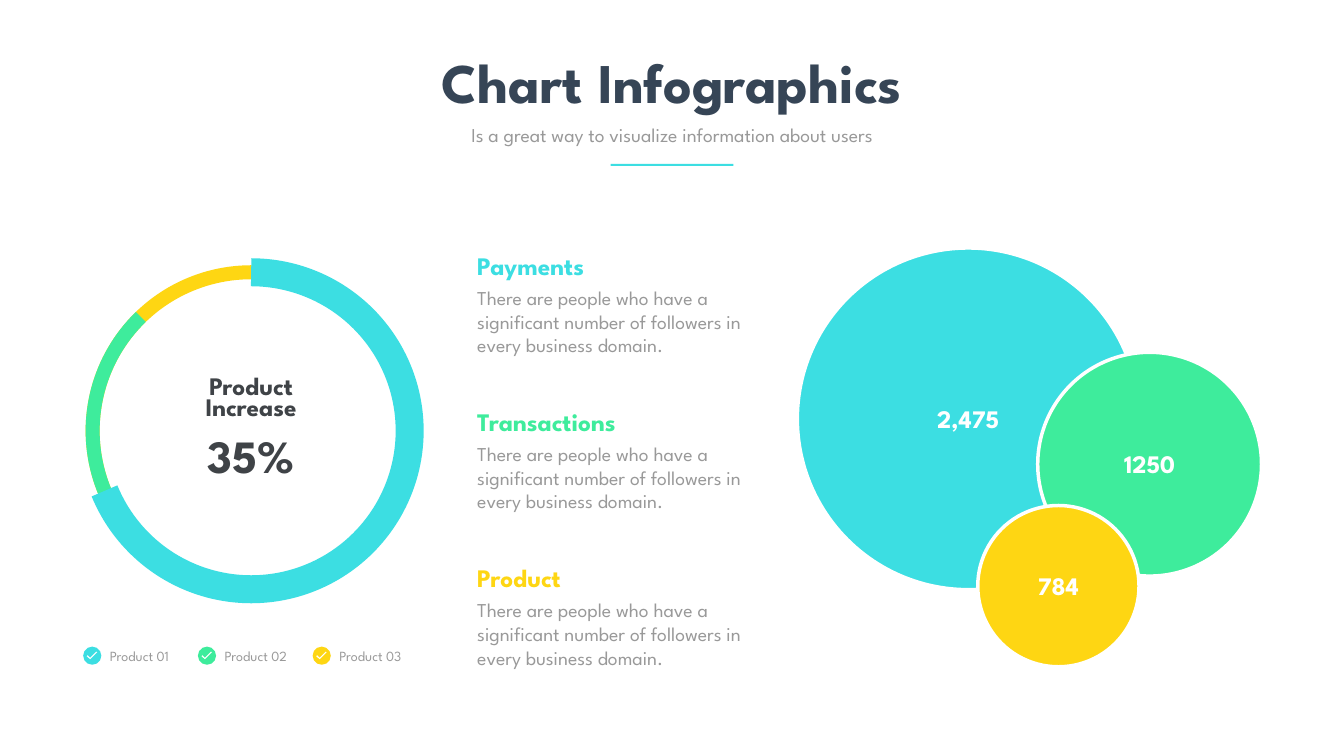
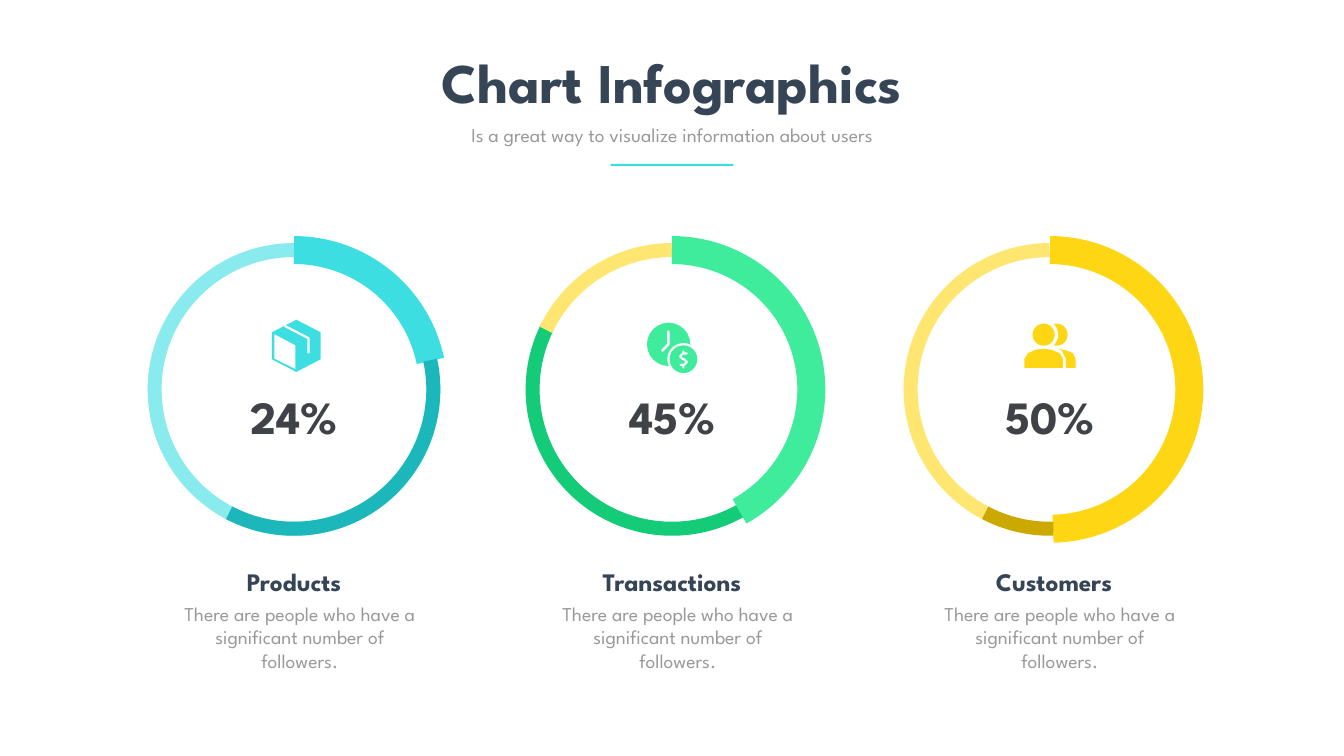
"""Build two chart infographic slides: a product overview and three ring gauges."""
from dataclasses import dataclass
from typing import Any, Optional

from pptx import Presentation
from pptx.dml.color import RGBColor
from pptx.enum.shapes import MSO_SHAPE
from pptx.enum.text import MSO_ANCHOR, MSO_AUTO_SIZE, PP_ALIGN
from pptx.util import Emu, Inches, Pt

WIDTH, HEIGHT = Inches(26.67), Inches(15)
COLUMNS, ROWS = 80, 45
MIDDLE = COLUMNS / 2
FONT = "League Spartan"

WHITE = RGBColor(0xFF, 0xFF, 0xFF)
NAVY = RGBColor(0x36, 0x45, 0x56)
GRAY = RGBColor(0x99, 0x99, 0x99)
CHARCOAL = RGBColor(0x3F, 0x43, 0x47)
CYAN = RGBColor(0x3C, 0xDE, 0xE2)
LIGHT_CYAN = RGBColor(0x8A, 0xEB, 0xEE)
DARK_CYAN = RGBColor(0x1C, 0xB7, 0xBB)
GREEN = RGBColor(0x3E, 0xEC, 0x9C)
DARK_GREEN = RGBColor(0x14, 0xCB, 0x77)
YELLOW = RGBColor(0xFE, 0xD6, 0x13)
LIGHT_YELLOW = RGBColor(0xFE, 0xE6, 0x71)
DARK_YELLOW = RGBColor(0xCC, 0xA9, 0x01)

THIN, THICK = 20, 40
Points = tuple[tuple[float, float], ...]


@dataclass(frozen=True)
class Area:
    """Rectangle measured in grid columns and rows."""
    left: float
    top: float
    width: float
    height: float

    def emu(self) -> tuple[Emu, Emu, Emu, Emu]:
        return (across(self.left), down(self.top), across(self.width), down(self.height))


@dataclass(frozen=True)
class Style:
    """Look of one kind of text."""
    size: float
    color: RGBColor
    bold: bool = False
    align: PP_ALIGN = PP_ALIGN.CENTER
    spacing: Optional[float] = None
    inset: Optional[float] = None


@dataclass(frozen=True)
class Segment:
    """Part of a ring, clockwise between two angles in degrees."""
    start: float
    end: float
    color: RGBColor
    weight: float = THIN


@dataclass(frozen=True)
class Bubble:
    """Circle with a value in its middle."""
    x: float
    y: float
    size: float
    color: RGBColor
    value: str


@dataclass(frozen=True)
class Dot:
    """Filled circle inside an icon."""
    x: float
    y: float
    size: float
    color: RGBColor


@dataclass(frozen=True)
class Outline:
    """Filled polygon, or an open stroke when a weight is given."""
    points: Points
    color: RGBColor
    weight: float = 0


@dataclass(frozen=True)
class Gauge:
    """Ring with an icon, a share and a caption."""
    name: str
    share: str
    segments: tuple[Segment, ...]
    icon: tuple[Any, ...]
    shift: float = 0


TITLE = Style(80, NAVY, True)
SUBTITLE = Style(28, GRAY)
BODY = Style(28, GRAY, align=PP_ALIGN.LEFT)
CAPTION = Style(36, NAVY, True)
BUBBLE_VALUE = Style(36, WHITE, True)
LEGEND = Style(20, GRAY, align=PP_ALIGN.LEFT)
RING_NAME = Style(36, CHARCOAL, True, spacing=0.7, inset=0.06)
RING_VALUE = Style(66, CHARCOAL, True, inset=0.06)

TOPICS = (("Payments", CYAN), ("Transactions", GREEN), ("Product", YELLOW))
TOPIC_TEXT = "There are people who have a significant number of followers in every business domain."
GAUGE_TEXT = "There are people who have a significant number of followers."
TICK: Points = ((-0.12, 0.12), (-0.27, -0.03), (-0.33, 0.03), (-0.12, 0.21), (0.3, -0.21), (0.24, -0.24))

PRODUCT_RING = (
    Segment(270.2, 270.1, YELLOW),
    Segment(153.1, 225.9, GREEN),
    Segment(270, 157.7, CYAN, THICK),
)
BUBBLES = (
    Bubble(57.63, 24.93, 20.34, CYAN, "2,475"),
    Bubble(68.43, 27.63, 13.32, GREEN, "1250"),
    Bubble(63, 34.89, 9.6, YELLOW, "784"),
)

PARCEL = (
    Outline(((0.14, -4.15), (1.58, -3.4), (1.58, -1.79), (0.14, -1.04), (-1.31, -1.79), (-1.31, -3.4)), CYAN),
    Outline(((-1.16, -3.28), (0.08, -2.62), (0.08, -1.22), (-1.16, -1.84)), WHITE),
    Outline(((-0.55, -3.78), (0.86, -3.05), (0.86, -2.15)), WHITE, 3.2),
)
CLOCK = (
    Dot(-0.2, -2.68, 2.58, GREEN),
    Outline(((-0.21, -3.5), (-0.21, -2.69), (-0.6, -2.28)), WHITE, 3.5),
    Dot(0.68, -1.8, 1.92, WHITE),
    Dot(0.68, -1.8, 1.65, GREEN),
    Outline(((0.68, -2.31), (0.68, -2.14), (0.89, -2.14), (0.65, -2.14), (0.48, -1.96), (0.65, -1.8),
             (0.71, -1.8), (0.89, -1.64), (0.71, -1.46), (0.68, -1.46), (0.68, -1.3), (0.68, -1.46),
             (0.47, -1.46)), WHITE, 3),
)
PEOPLE = (
    Dot(0.39, -3.26, 1.32, YELLOW),
    Dot(-0.38, -3.26, 1.74, WHITE),
    Dot(-0.38, -3.26, 1.32, YELLOW),
    Outline(((0.5, -2.42), (0.95, -2.33), (1.37, -2.15), (1.52, -1.82), (1.52, -1.28), (0.95, -1.28),
             (0.95, -1.82), (0.71, -2.3)), YELLOW),
    Outline(((-1.52, -1.28), (-1.52, -1.82), (-1.32, -2.15), (-0.86, -2.36), (-0.38, -2.42),
             (0.1, -2.36), (0.59, -2.15), (0.77, -1.82), (0.77, -1.28)), YELLOW),
)
GAUGES = (
    Gauge("Products", "24%", (Segment(270.2, 270.1, LIGHT_CYAN), Segment(270, 348.2, CYAN, THICK),
                              Segment(347.9, 117.7, DARK_CYAN)), PARCEL),
    Gauge("Transactions", "45%", (Segment(60.3, 207, DARK_GREEN), Segment(205.3, 270.3, LIGHT_YELLOW),
                                  Segment(270, 61, GREEN, THICK)), CLOCK),
    Gauge("Customers", "50%", (Segment(117.6, 269.8, LIGHT_YELLOW), Segment(270, 88.7, YELLOW, THICK),
                               Segment(88.6, 117.7, DARK_YELLOW)), PEOPLE, 0.24),
)


def across(columns: float) -> Emu:
    """Turn grid columns into a length."""
    return Emu(round(WIDTH * columns / COLUMNS))


def down(rows: float) -> Emu:
    """Turn grid rows into a length."""
    return Emu(round(HEIGHT * rows / ROWS))


def centred(x: float, top: float, width: float, height: float) -> Area:
    """Give an area whose middle column is x."""
    return Area(x - width / 2, top, width, height)


def square(x: float, y: float, size: float) -> Area:
    """Give a square around a point."""
    return centred(x, y - size / 2, size, size)


def apply(target: Any, values: dict[str, Any]) -> None:
    """Set each named attribute on the target."""
    for name, value in values.items():
        setattr(target, name, value)


def write(box: Any, text: str, style: Style) -> None:
    """Put one styled paragraph into a box."""
    frame = box.text_frame
    anchor = MSO_ANCHOR.TOP if style.inset is None else MSO_ANCHOR.MIDDLE
    apply(frame, {"word_wrap": True, "auto_size": MSO_AUTO_SIZE.NONE, "vertical_anchor": anchor})
    if style.inset is not None:
        sides = ("margin_left", "margin_top", "margin_right", "margin_bottom")
        apply(frame, dict.fromkeys(sides, Inches(style.inset)))
    para = frame.paragraphs[0]
    apply(para, {"alignment": style.align, "line_spacing": style.spacing})
    span = para.add_run()
    span.text = text
    apply(span.font, {"name": FONT, "size": Pt(style.size), "bold": style.bold})
    span.font.color.rgb = style.color


def add_text(page: Any, area: Area, text: str, style: Style) -> None:
    """Add a text box."""
    write(page.shapes.add_textbox(*area.emu()), text, style)


def paint(shape: Any, fill: Optional[RGBColor], line: Optional[RGBColor] = None, weight: float = 0) -> None:
    """Set fill and line, and drop the shadow."""
    shape.shadow.inherit = False
    for part, color in ((shape.fill, fill), (shape.line.fill, line)):
        if color is None:
            part.background()
        else:
            part.solid()
            part.fore_color.rgb = color
    if line is not None:
        shape.line.width = Pt(weight)


def add_preset(page: Any, preset: MSO_SHAPE, area: Area, fill: Optional[RGBColor],
               line: Optional[RGBColor] = None, weight: float = 0) -> Any:
    """Add a painted preset shape."""
    shape = page.shapes.add_shape(preset, *area.emu())
    paint(shape, fill, line, weight)
    return shape


def add_outline(page: Any, x: float, y: float, outline: Outline) -> None:
    """Draw a polygon or open stroke placed relative to a point."""
    points = [(across(x + dx), down(y + dy)) for dx, dy in outline.points]
    builder = page.shapes.build_freeform(*points[0])
    builder.add_line_segments(points[1:], close=not outline.weight)
    shape = builder.convert_to_shape()
    if outline.weight:
        paint(shape, None, outline.color, outline.weight)
    else:
        paint(shape, outline.color)


def add_ring(page: Any, area: Area, segments: tuple[Segment, ...]) -> None:
    """Draw ring segments as arcs."""
    for segment in segments:
        arc = add_preset(page, MSO_SHAPE.ARC, area, None, segment.color, segment.weight)
        for index, degrees in enumerate((segment.start, segment.end)):
            arc.adjustments[index] = degrees * 0.6


def add_icon(page: Any, x: float, y: float, parts: tuple[Any, ...]) -> None:
    """Draw icon parts relative to a point."""
    for part in parts:
        if isinstance(part, Dot):
            add_preset(page, MSO_SHAPE.OVAL, square(x + part.x, y + part.y, part.size), part.color)
        else:
            add_outline(page, x, y, part)


def add_page(deck: Any) -> Any:
    """Add a slide with the shared title, subtitle and rule."""
    page = deck.slides.add_slide(deck.slide_layouts[5])
    title = page.shapes.title
    places = centred(MIDDLE, 2.7, 38.73, 4.35).emu()
    apply(title, dict(zip(("left", "top", "width", "height"), places)))
    write(title, "Chart Infographics", TITLE)
    add_text(page, centred(MIDDLE, 7.14, 28.68, 1.71),
             "Is a great way to visualize information about users", SUBTITLE)
    add_preset(page, MSO_SHAPE.RECTANGLE, centred(MIDDLE, 9.75, 7.3, 0.12), CYAN)
    return page


def add_overview(deck: Any) -> None:
    """Build the slide with a product ring, topics and bubbles."""
    page = add_page(deck)
    for bubble in BUBBLES:
        add_preset(page, MSO_SHAPE.OVAL, square(bubble.x, bubble.y, bubble.size), bubble.color, WHITE, 5)
    for bubble in BUBBLES:
        add_text(page, centred(bubble.x, bubble.y - 1.07, 8.1, 2.13), bubble.value, BUBBLE_VALUE)
    for index, (name, color) in enumerate(TOPICS):
        top = 14.76 + 9.29 * index
        add_text(page, Area(28.11, top, 15.33, 2.13), name, Style(36, color, True, PP_ALIGN.LEFT))
        add_text(page, Area(28.11, top + 2.13, 18.87, 4.53), TOPIC_TEXT, BODY)
        x, y = 5.49 + 6.83 * index, 39.03
        add_preset(page, MSO_SHAPE.OVAL, square(x, y, 1.08), color)
        add_outline(page, x, y, Outline(TICK, WHITE))
        add_text(page, Area(x + 0.75, y - 0.66, 7.05, 1.32), f"Product 0{index + 1}", LEGEND)
    add_ring(page, square(14.95, 25.64, 18.87), PRODUCT_RING)
    add_text(page, centred(14.95, 22.35, 8.82, 2.88), "Product Increase", RING_NAME)
    add_text(page, centred(14.95, 25.26, 8.82, 3.66), "35%", RING_VALUE)


def add_gauges(deck: Any) -> None:
    """Build the slide with three ring gauges."""
    page = add_page(deck)
    for index, gauge in enumerate(GAUGES):
        x, y = 17.5 + 22.5 * index, 23.18
        add_ring(page, square(x, y, 16.59), gauge.segments)
        add_icon(page, x, y, gauge.icon)
        add_text(page, centred(x, 22.95, 8.82, 3.66), gauge.share, RING_VALUE)
        add_text(page, centred(x + gauge.shift, 33.57, 16.14, 2.13), gauge.name, CAPTION)
        add_text(page, centred(x + gauge.shift + 0.34, 35.67, 15.45, 4.53), GAUGE_TEXT, SUBTITLE)


def main() -> None:
    """Create and save the deck."""
    deck = Presentation()
    apply(deck, {"slide_width": WIDTH, "slide_height": HEIGHT})
    add_overview(deck)
    add_gauges(deck)
    deck.save("out.pptx")


if __name__ == "__main__":
    main()
